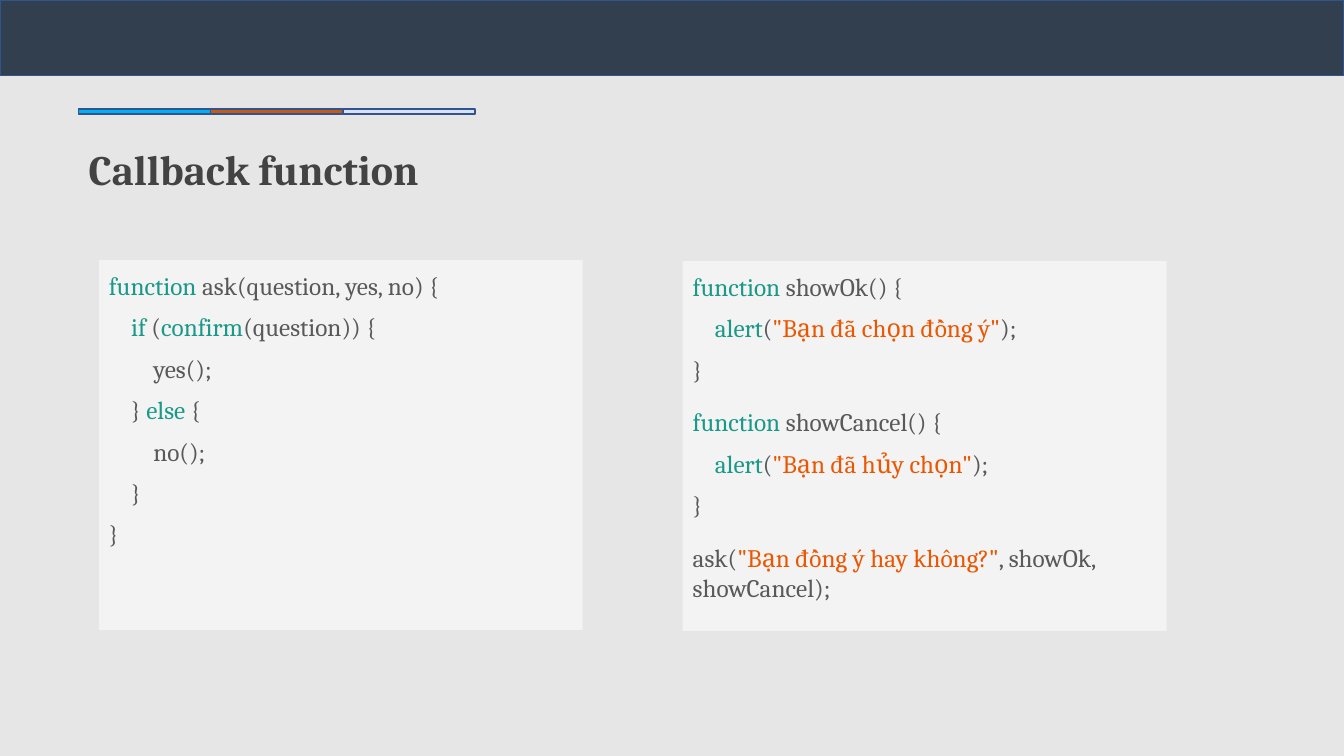
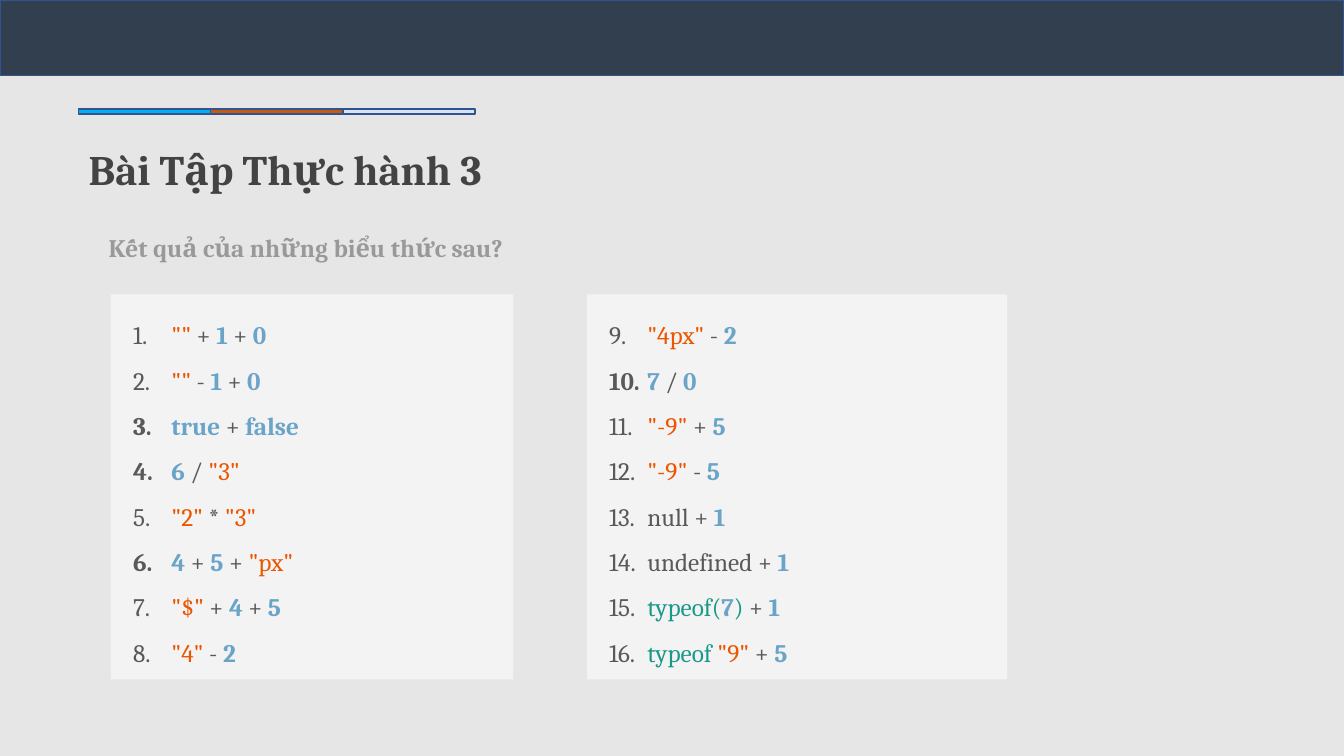
"""Build two JavaScript lesson slides: a callback example and an exercise."""
from pptx import Presentation
from pptx.dml.color import RGBColor as RGB
from pptx.enum.shapes import MSO_SHAPE as Shape
from pptx.enum.text import MSO_ANCHOR as Anchor, MSO_AUTO_SIZE as Auto, PP_ALIGN as Align
from pptx.oxml.ns import qn
from pptx.util import Inches, Pt
from lxml.etree import SubElement as Sub

HUES = {
    "back": "E7E6E6", "band": "323F4F", "edge": "31538F", "panel": "F3F3F3",
    "sky": "00B0F0", "rust": "C55A11", "pale": "D8E2F3",
    "title": "434343", "hint": "999999",
    "code": "595959", "word": "1A9988", "text": "EB5600", "num": "6AA4C8",
}
BOLD = {"title", "hint", "num"}
FONT = "Cambria"
STEP = 0.22
BARS = [(0, 0, 13.33, 0.75, "band")] + [
    (0.78 + 1.31 * i, 1.08, 1.31, 0.05, hue)
    for i, hue in enumerate(("sky", "rust", "pale"))
]


def write(para, runs, size=18):
    """Add styled runs to a paragraph."""
    para.alignment = Align.LEFT
    for kind, text in runs:
        run = para.add_run()
        run.text = text
        run.font.name = FONT
        run.font.size = Pt(size)
        run.font.bold = kind in BOLD
        run.font.color.rgb = RGB.from_string(HUES[kind])


def place(shape, box, pad):
    """Position a text shape and return its frame."""
    shape.left, shape.top, shape.width, shape.height = map(Inches, box)
    frame = shape.text_frame
    frame.word_wrap = True
    frame.auto_size = Auto.NONE
    frame.vertical_anchor = Anchor.TOP
    frame.margin_left = frame.margin_right = Inches(0.1)
    frame.margin_top = frame.margin_bottom = Inches(pad)
    return frame


ASK = [
    (0, 0, [("word", "function"), ("code", " ask(question, yes, no) {")]),
    (8, 1, [("word", "if"), ("code", " ("), ("word", "confirm"), ("code", "(question)) {")]),
    (8, 2, [("code", "yes();")]),
    (8, 1, [("code", "} "), ("word", "else"), ("code", " {")]),
    (8, 2, [("code", "no();")]),
    (8, 1, [("code", "}")]),
    (8, 0, [("code", "}")]),
]
SHOW = []
for gap, name, note in (
    (0, "showOk", '"Bạn đã chọn đồng ý"'),
    (16, "showCancel", '"Bạn đã hủy chọn"'),
):
    SHOW += [
        (gap, 0, [("word", "function"), ("code", f" {name}() {{")]),
        (8, 1, [("word", "alert"), ("code", "("), ("text", note), ("code", ");")]),
        (8, 0, [("code", "}")]),
    ]
SHOW.append((16, 0, [("code", "ask("), ("text", '"Bạn đồng ý hay không?"'),
                     ("code", ", showOk, showCancel);")]))

TASKS = [
    [("text", '""'), ("code", " + "), ("num", "1"), ("code", " + "), ("num", "0")],
    [("text", '""'), ("code", " - "), ("num", "1"), ("code", " + "), ("num", "0")],
    [("num", "true"), ("code", " + "), ("num", "false")],
    [("num", "6"), ("code", " / "), ("text", '"3"')],
    [("text", '"2"'), ("code", " * "), ("text", '"3"')],
    [("num", "4"), ("code", " + "), ("num", "5"), ("code", " + "), ("text", '"px"')],
    [("text", '"$"'), ("code", " + "), ("num", "4"), ("code", " + "), ("num", "5")],
    [("text", '"4"'), ("code", " - "), ("num", "2")],
    [("text", '"4px"'), ("code", " - "), ("num", "2")],
    [("num", "7"), ("code", " / "), ("num", "0")],
    [("text", '"-9"'), ("code", " + "), ("num", "5")],
    [("text", '"-9"'), ("code", " - "), ("num", "5")],
    [("code", "null + "), ("num", "1")],
    [("code", "undefined + "), ("num", "1")],
    [("word", "typeof("), ("num", "7"), ("word", ")"), ("code", " + "), ("num", "1")],
    [("word", "typeof"), ("text", ' "9"'), ("code", " + "), ("num", "5")],
]

deck = Presentation()
deck.slide_width, deck.slide_height = Inches(13.33), Inches(7.5)
fill = deck.slide_master.background.fill
fill.solid()
fill.fore_color.rgb = RGB.from_string(HUES["back"])

pages = []
for title, tall, boxes in (
    ("Callback function", 0.61, [(0.98, 2.58, 4.8, 3.67), (6.77, 2.59, 4.8, 3.67)]),
    ("Bài Tập Thực hành 3", 0.86, [(1.1, 2.92, 3.99, 3.82), (5.82, 2.92, 4.17, 3.82)]),
):
    page = deck.slides.add_slide(deck.slide_layouts[3])
    for left, top, width, height, hue in BARS:
        bar = page.shapes.add_shape(Shape.RECTANGLE, *map(Inches, (left, top, width, height)))
        bar.shadow.inherit = False
        bar.fill.solid()
        bar.fill.fore_color.rgb = RGB.from_string(HUES[hue])
        bar.line.color.rgb = RGB.from_string(HUES["edge"])
        bar.line.width = Pt(1)
    frame = place(page.shapes.title, (0.78, 1.37, 11.76, tall), 0.05)
    write(frame.paragraphs[0], [("title", title)], 30)
    frames = []
    for slot, box in zip((1, 2), boxes):
        panel = page.placeholders[slot]
        panel.fill.solid()
        panel.fill.fore_color.rgb = RGB.from_string(HUES["panel"])
        frames.append(place(panel, box, 0.1))
    pages.append((page, frames))

for frame, lines in zip(pages[0][1], (ASK, SHOW)):
    for i, (gap, level, runs) in enumerate(lines):
        para = frame.add_paragraph() if i else frame.paragraphs[0]
        write(para, runs)
        para.space_before = Pt(gap)
        props = para._p.get_or_add_pPr()
        props.set("marL", str(Inches(STEP * level)))
        props.set("indent", "0")
        Sub(props, qn("a:buNone"))

page, frames = pages[1]
hint = page.shapes.add_textbox(0, 0, 0, 0)
frame = place(hint, (0.98, 2.21, 5.5, 0.57), 0.1)
write(frame.paragraphs[0], [("hint", "Kết quả của những biểu thức sau?")])

for frame, first in zip(frames, (1, 9)):
    for i, runs in enumerate(TASKS[first - 1:first + 7]):
        para = frame.add_paragraph() if i else frame.paragraphs[0]
        write(para, runs)
        para.line_spacing = 1.5
        para.space_before = Pt(0)
        props = para._p.get_or_add_pPr()
        props.set("marL", str(Inches(0.5)))
        props.set("indent", str(Inches(-0.38)))
        tint = Sub(props, qn("a:buClr"))
        Sub(tint, qn("a:srgbClr"), val=HUES["code"])
        Sub(props, qn("a:buFont"), typeface=FONT)
        Sub(props, qn("a:buAutoNum"), type="arabicPeriod", startAt=str(first))

deck.save("out.pptx")
